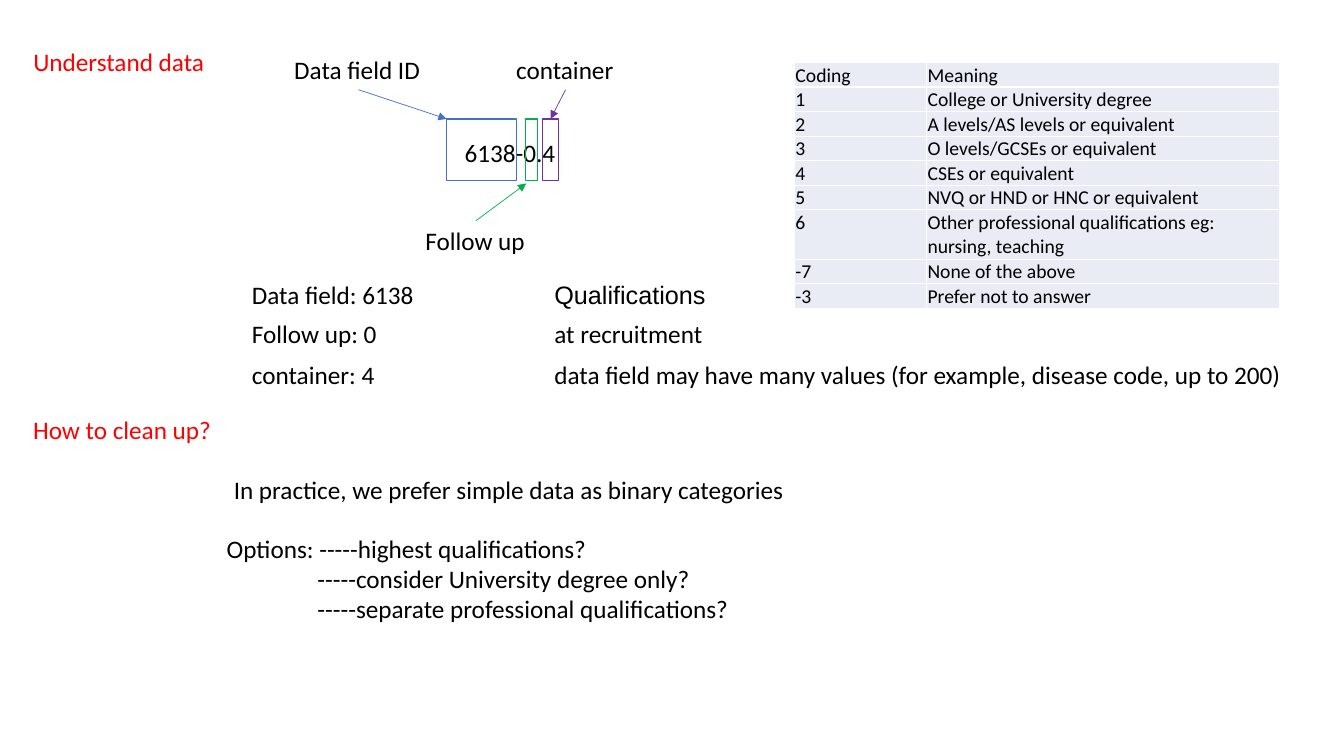
from lxml import etree
from pptx import Presentation
from pptx import util as u
from pptx.dml.color import RGBColor
from pptx.enum import shapes, text
from pptx.oxml.ns import qn

PX = 9144
INK = {"black": "000000", "red": "FF0000", "blue": "4472C4",
       "green": "00B050", "purple": "7030A0", "pale": "E9EBF5"}


def write(frame, lines, ink="black", size=18):
    form = {"word_wrap": True, "vertical_anchor": text.MSO_ANCHOR.TOP}
    for key, val in form.items():
        setattr(frame, key, val)
    frame.text = "\n".join(lines)
    for para in frame.paragraphs:
        para.alignment = text.PP_ALIGN.LEFT
        for run in para.runs:
            run.font.size = u.Pt(size)
            run.font.name = "Calibri"
            run.font.color.rgb = RGBColor.from_string(INK[ink])


def label(host, box, lines, ink="black"):
    shape = host.add_textbox(*[n * PX for n in box])
    write(shape.text_frame, lines, ink)
    shape.text_frame.auto_size = text.MSO_AUTO_SIZE.SHAPE_TO_FIT_TEXT
    return shape


deck = Presentation()
deck.slide_width = 1333 * PX
deck.slide_height = 750 * PX
slide = deck.slides.add_slide(deck.slide_layouts[5])
items = slide.shapes

title = items.title
place = {"left": 23, "top": 41, "width": 191, "height": 40}
for key, val in place.items():
    setattr(title, key, val * PX)
write(title.text_frame, ["Understand data"], "red")
title.text_frame.auto_size = text.MSO_AUTO_SIZE.NONE

group = items.add_group_shape().shapes
label(group, (451, 131, 130, 40), ["6138-0.4"])

parts = [
    ("Data field ID", (282, 49, 147, 40), 2, "blue", (443, 69), (443, 118), None),
    ("Follow up", (412, 219, 120, 40), 0, "green", (521, 12), (522, 182), None),
    ("container", (502, 49, 118, 40), 2, "purple", (538, 16), (546, 118), 0),
]
for name, box, side, ink, (left, width), tip, joint in parts:
    color = RGBColor.from_string(INK[ink])
    frame = group.add_shape(shapes.MSO_SHAPE.RECTANGLE,
                            left * PX, 118 * PX, width * PX, 61 * PX)
    frame.shadow.inherit = False
    frame.fill.background()
    frame.line.color.rgb = color
    frame.line.width = u.Pt(1)
    tag = label(group, box, [name])
    arrow = group.add_connector(shapes.MSO_CONNECTOR.STRAIGHT,
                                0, 0, tip[0] * PX, tip[1] * PX)
    arrow.begin_connect(tag, side)
    if joint is not None:
        arrow.end_connect(frame, joint)
    arrow.line.color.rgb = color
    arrow.line.width = u.Pt(0.5)
    etree.SubElement(arrow.line._get_or_add_ln(), qn("a:tailEnd"), type="triangle")
    etree.SubElement(arrow._element.spPr, qn("a:effectLst"))

facts = [
    (272, 475, "Data field: 6138", "Qualifications"),
    (311, 472, "Follow up: 0", "at recruitment"),
    (352, 1050, "container: 4",
     "data field may have many values (for example, disease code, up to 200)"),
]
for top, width, term, sense in facts:
    row = label(items, (240, top, width, 40), [term + "\t"])
    para = row.text_frame.paragraphs[0]
    stops = etree.SubElement(para._p.get_or_add_pPr(), qn("a:tabLst"))
    etree.SubElement(stops, qn("a:tab"), pos=str(300 * PX), algn="l")
    run = para.add_run()
    run.text = sense
    run.font.size = u.Pt(18)
    run.font.name = "Arial" if sense == "Qualifications" else "Calibri"
    run.font.color.rgb = RGBColor.from_string(INK["black"])

label(items, (23, 406, 199, 40), ["How to clean up?"], "red")

codes = [
    ("Coding", "Meaning"),
    ("1", "College or University degree"),
    ("2", "A levels/AS levels or equivalent"),
    ("3", "O levels/GCSEs or equivalent"),
    ("4", "CSEs or equivalent"),
    ("5", "NVQ or HND or HNC or equivalent"),
    ("6", "Other professional qualifications eg: nursing, teaching"),
    ("-7", "None of the above"),
    ("-3", "Prefer not to answer"),
]
table = items.add_table(len(codes), 2, 788 * PX, 62 * PX, 481 * PX, 244 * PX).table
table.first_row = False
table.horz_banding = False
for col, width in zip(table.columns, (131, 350)):
    col.width = width * PX
pad = {"margin_left": PX, "margin_right": PX, "margin_top": PX, "margin_bottom": 0}
for r, pair in enumerate(codes):
    table.rows[r].height = (49 if pair[0] == "6" else 24) * PX
    for c, words in enumerate(pair):
        cell = table.cell(r, c)
        write(cell.text_frame, [words], size=14)
        for key, val in pad.items():
            setattr(cell, key, val)
        cell.vertical_anchor = text.MSO_ANCHOR.TOP if r else text.MSO_ANCHOR.MIDDLE
        cell.fill.solid()
        cell.fill.fore_color.rgb = RGBColor.from_string(INK["pale"])

plan = label(items, (215, 524, 525, 101), [
    "Options: -----highest qualifications?",
    "-----consider University degree only?",
    "-----separate professional qualifications?",
])
for para in plan.text_frame.paragraphs[1:]:
    para._p.get_or_add_pPr().set("marL", str(90 * PX))
label(items, (222, 466, 572, 40),
      ["In practice, we prefer simple data as binary categories"])

deck.save("out.pptx")
